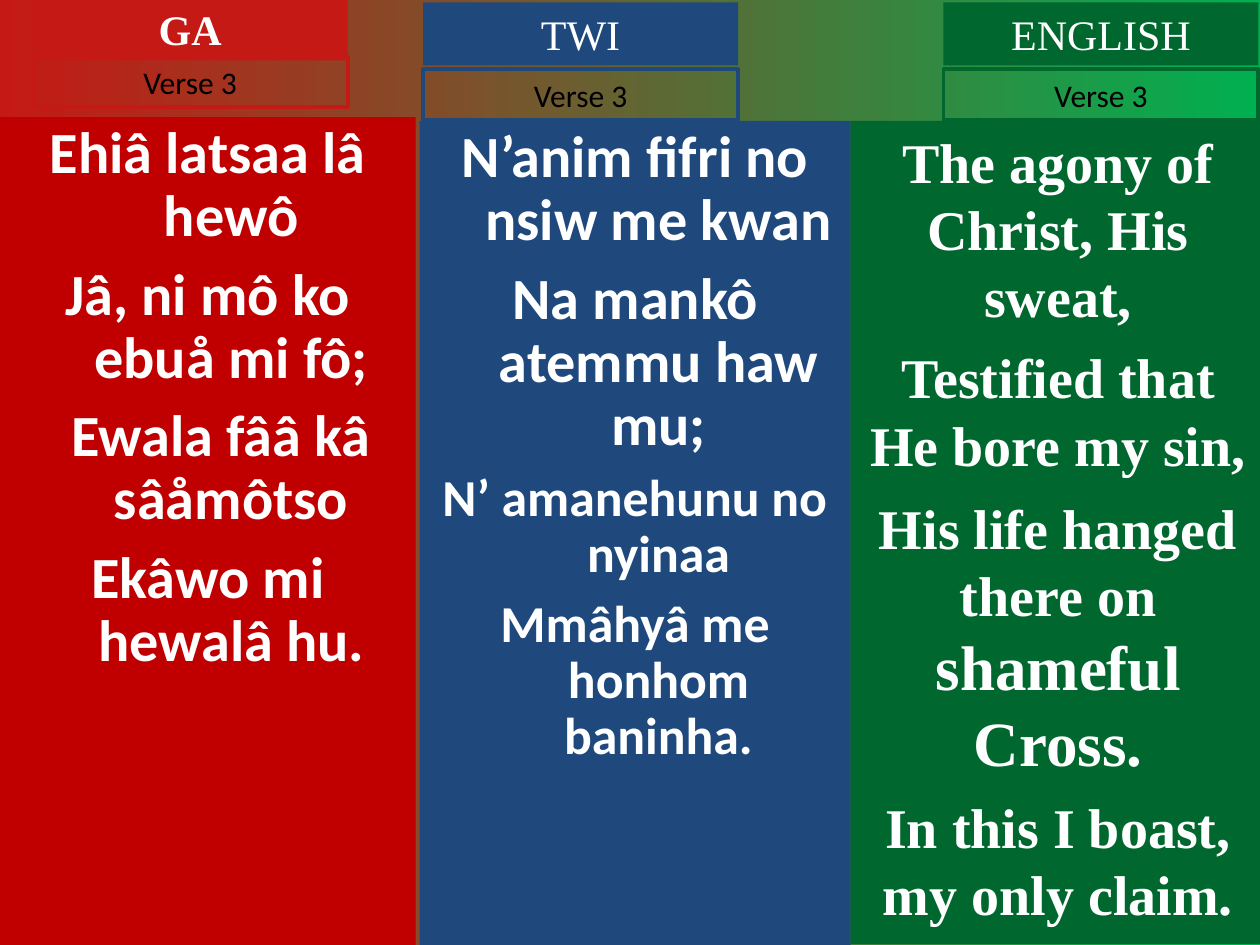
"""Build a three-language hymn slide with one coloured column per language."""
import dataclasses

import pptx
import pptx.dml.color
import pptx.enum.shapes
import pptx.enum.text
import pptx.util

Cm = pptx.util.Cm
Pt = pptx.util.Pt


@dataclasses.dataclass(frozen=True)
class Theme:
    red: str = "C00000"
    rose: str = "C51915"
    blue: str = "1F497D"
    green: str = "00682F"
    lime: str = "00B050"
    white: str = "FFFFFF"
    black: str = "000000"
    sans: str = "Calibri"
    serif: str = "Times New Roman"
    head: float = 24
    verse: float = 18
    small: float = 29.6
    mid: float = 32
    large: float = 33.3
    huge: float = 36


def paint(hue):
    return pptx.dml.color.RGBColor.from_string(hue)


class Board:
    def __init__(self, theme, slide):
        self.theme = theme
        self.slide = slide

    def back(self, start, end):
        fill = self.slide.background.fill
        fill.gradient()
        fill.gradient_angle = 0
        for stop, hue in zip(fill.gradient_stops, (start, end)):
            stop.color.rgb = paint(hue)

    def box(self, place, fill=None, edge=None, grow=False):
        shape = self.slide.shapes.add_shape(
            pptx.enum.shapes.MSO_SHAPE.RECTANGLE, *map(Cm, place))
        shape.shadow.inherit = False
        if fill:
            shape.fill.solid()
            shape.fill.fore_color.rgb = paint(fill)
        else:
            shape.fill.background()
        if edge:
            shape.line.color.rgb = paint(edge)
            shape.line.width = Pt(2.25)
        else:
            shape.line.fill.background()
        frame = shape.text_frame
        frame.word_wrap = True
        frame.vertical_anchor = pptx.enum.text.MSO_ANCHOR.TOP
        if grow:
            frame.auto_size = pptx.enum.text.MSO_AUTO_SIZE.SHAPE_TO_FIT_TEXT
        return frame

    def line(self, frame, first, runs, font, hue, bold=False, gap=0):
        para = frame.paragraphs[0] if first else frame.add_paragraph()
        para.alignment = pptx.enum.text.PP_ALIGN.CENTER
        para.space_before = Pt(0 if first else gap)
        for text, size in runs:
            run = para.add_run()
            run.text = text
            run.font.name = font
            run.font.size = Pt(size)
            run.font.bold = bold
            run.font.color.rgb = paint(hue)
        return para

    def title(self, left, top, text, fill, bold):
        frame = self.box((left, top, 6.35, 1.27), fill, grow=True)
        self.line(frame, True, [(text, self.theme.head)],
                  self.theme.serif, self.theme.white, bold)

    def label(self, left, top, text, edge):
        frame = self.box((left, top, 6.35, 1.02), edge=edge, grow=True)
        self.line(frame, True, [(text, self.theme.verse)],
                  self.theme.sans, self.theme.black)

    def column(self, place, fill, font, lines, hang=False):
        frame = self.box(place, fill)
        for num, (gap, shift, runs) in enumerate(lines):
            para = self.line(frame, num == 0, runs, font,
                             self.theme.white, True, gap)
            if hang:
                para.line_spacing = 0.9
                props = para._p.get_or_add_pPr()
                props.set("marL", str(Cm(0.95)))
                props.set("indent", str(Cm(shift - 0.95)))


def main():
    theme = Theme()
    deck = pptx.Presentation()
    deck.slide_width, deck.slide_height = Cm(25.4), Cm(19.05)
    board = Board(theme, deck.slides.add_slide(deck.slide_layouts[6]))
    board.back(theme.rose, theme.lime)

    ga = [
        (9, 0, [("Ehiâ latsaa lâ hewô", theme.large)]),
        (9, 0, [("Jâ, ni mô ko ebuå mi fô;", theme.large)]),
        (9, 0.53, [("Ewala fââ kâ sâåmôtso", theme.large)]),
        (9, 0, [("Ekâwo mi hewalâ hu.", theme.large)]),
    ]
    twi = [
        (9, 0, [("N’anim fifri no nsiw me kwan", theme.large)]),
        (9, 0, [("Na mankô atemmu haw mu;", theme.large)]),
        (8, 0, [("N’ amanehunu no nyinaa", theme.small)]),
        (8, 0, [("Mmâhyâ me honhom baninha.", theme.small)]),
    ]
    eng = [
        (8, 0, [("The agony of Christ, His sweat,", theme.mid)]),
        (8, 0, [("Testified that He bore my sin,", theme.mid)]),
        (9, 0, [("His life hanged there on ", theme.mid),
                ("shameful Cross.", theme.huge)]),
        (8, 0, [("In this I boast, my only claim.", theme.mid)]),
    ]

    board.column((0, 2.36, 8.38, 16.69), theme.red, theme.sans, ga, True)
    board.column((8.46, 2.44, 8.69, 16.61), theme.blue, theme.sans, twi, True)
    board.column((17.15, 2.44, 8.36, 16.59), theme.green, theme.serif, eng)

    heads = [
        ("GA", 0.66, -0.05, 1.14, theme.rose, True),
        ("TWI", 8.53, 0.05, 1.4, theme.blue, False),
        ("ENGLISH", 19.02, 0.05, 1.4, theme.green, False),
    ]
    for text, left, top, low, hue, bold in heads:
        board.title(left, top, text, hue, bold)
        board.label(left, low, "Verse 3", hue)

    deck.save("out.pptx")


if __name__ == "__main__":
    main()
